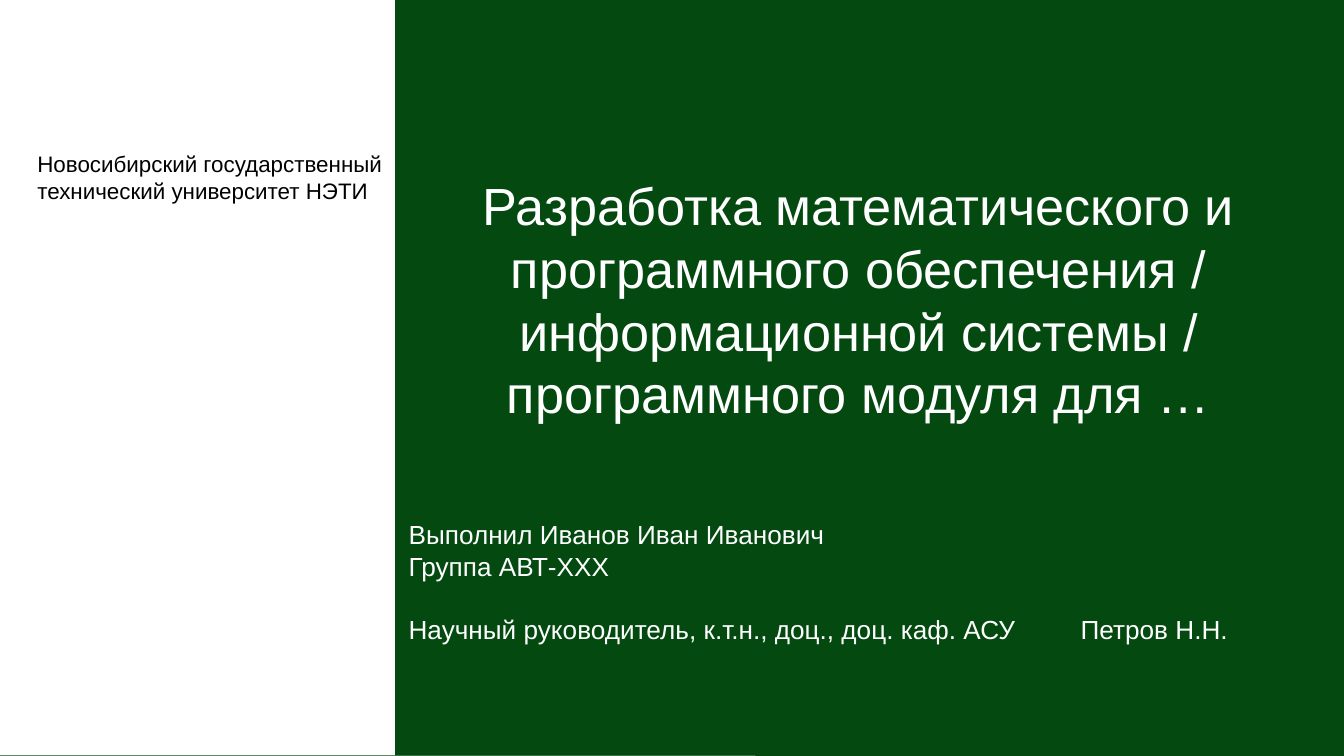
from dataclasses import dataclass

from pptx import Presentation
from pptx.dml.color import RGBColor
from pptx.enum.shapes import MSO_SHAPE
from pptx.enum.text import PP_ALIGN
from pptx.slide import Slide
from pptx.util import Inches, Pt

COLORS = {"green": "034910", "white": "FFFFFF", "black": "000000"}
FONT = "Arial"


@dataclass
class Panel:
    left: float
    top: float
    width: float
    height: float
    color: str


@dataclass
class TextBlock:
    left: float
    top: float
    width: float
    height: float
    lines: list[str]
    size: int
    color: str
    align: PP_ALIGN = PP_ALIGN.LEFT
    inset_left: float = 0
    last_gap: float = 0


PANELS = [
    Panel(0, 5.16, 10, 0.47, "green"),
    Panel(0, 0, 5.62, 5.62, "white"),
    Panel(2.94, 0, 7.06, 5.62, "green"),
]

TEXT_BLOCKS = [
    TextBlock(
        0.18, 1.07, 3.57, 0.71,
        ["Новосибирский государственный", "технический университет НЭТИ"],
        12, "black", inset_left=0.1,
    ),
    TextBlock(
        3.04, 1.24, 6.79, 2,
        ["Разработка математического и программного обеспечения / "
         "информационной системы / программного модуля для …"],
        28, "white", PP_ALIGN.CENTER,
    ),
    TextBlock(
        3.04, 3.81, 6.79, 1.1,
        ["Выполнил Иванов Иван Иванович", "Группа АВТ-ХХХ",
         "Научный руководитель, к.т.н., доц., доц. каф. АСУ\tПетров Н.Н."],
        14, "white", last_gap=17,
    ),
]


def add_panel(page: Slide, panel: Panel) -> None:
    shape = page.shapes.add_shape(
        MSO_SHAPE.RECTANGLE, Inches(panel.left), Inches(panel.top),
        Inches(panel.width), Inches(panel.height),
    )
    shape.shadow.inherit = False
    shape.fill.solid()
    shape.fill.fore_color.rgb = RGBColor.from_string(COLORS[panel.color])
    shape.line.fill.background()


def add_text_block(page: Slide, block: TextBlock) -> None:
    box = page.shapes.add_textbox(
        Inches(block.left), Inches(block.top),
        Inches(block.width), Inches(block.height),
    )
    frame = box.text_frame
    frame.word_wrap = True
    frame.margin_left = Inches(block.inset_left)
    frame.text = "\n".join(block.lines)
    for para in frame.paragraphs:
        para.alignment = block.align
        for span in para.runs:
            span.font.name = FONT
            span.font.size = Pt(block.size)
            span.font.color.rgb = RGBColor.from_string(COLORS[block.color])
    if block.last_gap:
        frame.paragraphs[-1].space_before = Pt(block.last_gap)


def main() -> None:
    deck = Presentation()
    deck.slide_width = Inches(10)
    deck.slide_height = Inches(10 * 9 / 16)
    page = deck.slides.add_slide(deck.slide_layouts[6])
    for panel in PANELS:
        add_panel(page, panel)
    for block in TEXT_BLOCKS:
        add_text_block(page, block)
    deck.save("out.pptx")


if __name__ == "__main__":
    main()
